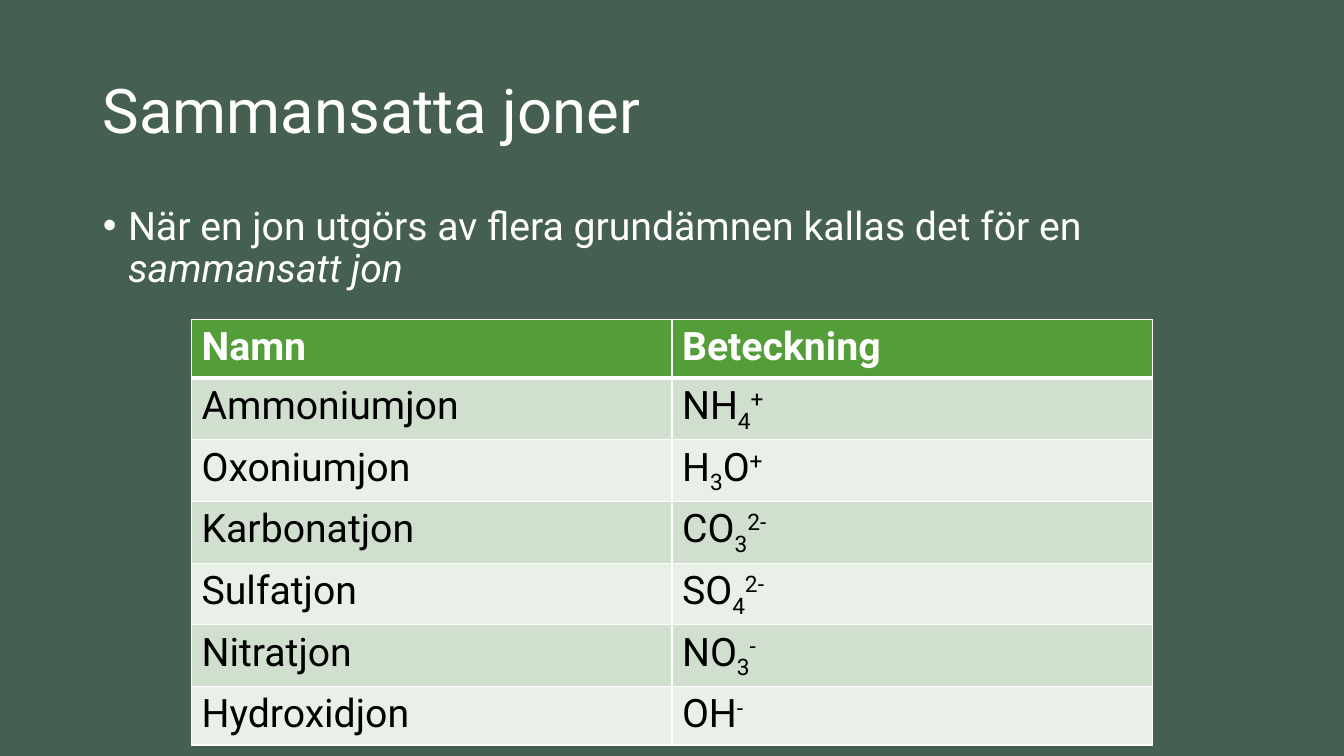
from lxml.etree import SubElement
from pptx import Presentation
from pptx.dml.color import RGBColor
from pptx.enum.text import MSO_ANCHOR, MSO_AUTO_SIZE, PP_ALIGN
from pptx.oxml.ns import qn
from pptx.util import Inches, Pt

COLORS = {
    "background": "455F51",
    "light": "FFFFFF",
    "dark": "000000",
    "header": "549E39",
    "odd_row": "D1DFCE",
    "even_row": "E9F0E8",
}
FONT = "Roboto"
BASELINES = {"sub": "-25000", "super": "30000"}

# Each ion: name, then the pieces of its formula with their position
HEADINGS = ("Namn", "Beteckning")
IONS = [
    ("Ammoniumjon", [("NH", None), ("4", "sub"), ("+", "super")]),
    ("Oxoniumjon", [("H", None), ("3", "sub"), ("O", None), ("+", "super")]),
    ("Karbonatjon", [("CO", None), ("3", "sub"), ("2-", "super")]),
    ("Sulfatjon", [("SO", None), ("4", "sub"), ("2-", "super")]),
    ("Nitratjon", [("NO", None), ("3", "sub"), ("-", "super")]),
    ("Hydroxidjon", [("OH", None), ("-", "super")]),
]


def color(name):
    return RGBColor.from_string(COLORS[name])


def add_run(paragraph, text, size=28, fill="light", bold=False, italic=False, position=None):
    run = paragraph.add_run()
    run.text = text
    run.font.name = FONT
    run.font.size = Pt(size)
    run.font.bold = bold
    run.font.italic = italic
    run.font.color.rgb = color(fill)
    if position:
        run._r.get_or_add_rPr().set("baseline", BASELINES[position])


def place(shape, box, anchor):
    shape.left, shape.top, shape.width, shape.height = (Inches(value) for value in box)
    frame = shape.text_frame
    frame.word_wrap = True
    frame.auto_size = MSO_AUTO_SIZE.NONE
    frame.vertical_anchor = anchor
    paragraph = frame.paragraphs[0]
    paragraph.alignment = PP_ALIGN.LEFT
    paragraph.line_spacing = 0.9
    paragraph.space_before = Pt(0)
    return paragraph


def fill_title(slide, box):
    paragraph = place(slide.shapes.title, box, MSO_ANCHOR.MIDDLE)
    add_run(paragraph, "Sammansatta joner", size=44)


def fill_body(slide, box):
    paragraph = place(slide.placeholders[1], box, MSO_ANCHOR.TOP)
    properties = paragraph._p.get_or_add_pPr()
    properties.set("marL", str(Inches(0.25)))
    properties.set("indent", str(Inches(-0.25)))
    SubElement(properties, qn("a:buFont"), typeface="Arial")
    SubElement(properties, qn("a:buChar"), char="•")
    add_run(paragraph, "När en jon utgörs av flera grundämnen kallas det för en ")
    add_run(paragraph, "sammansatt jon", italic=True)


def add_borders(cell, widths):
    properties = cell._tc.get_or_add_tcPr()
    for side, width in widths.items():
        line = SubElement(properties, qn(f"a:ln{side}"), w=str(Pt(width)))
        solid = SubElement(line, qn("a:solidFill"))
        SubElement(solid, qn("a:srgbClr"), val=COLORS["light"])


def add_ion_table(slide, box):
    left, top, width, height = (Inches(value) for value in box)
    rows = [[[(heading, None)] for heading in HEADINGS]]
    rows += [[[(name, None)], formula] for name, formula in IONS]
    table = slide.shapes.add_table(len(rows), len(HEADINGS), left, top, width, height).table

    for row_index, row in enumerate(rows):
        is_header = row_index == 0
        row_fill = "header" if is_header else "odd_row" if row_index % 2 else "even_row"
        for column_index, pieces in enumerate(row):
            cell = table.cell(row_index, column_index)
            # Borders come before the fill; a thick line separates the header
            add_borders(cell, {"L": 1, "R": 1, "T": 3 if row_index == 1 else 1,
                               "B": 3 if is_header else 1})
            cell.fill.solid()
            cell.fill.fore_color.rgb = color(row_fill)
            for text, position in pieces:
                add_run(cell.text_frame.paragraphs[0], text, bold=is_header,
                        fill="light" if is_header else "dark", position=position)


def main():
    presentation = Presentation()
    presentation.slide_width = Inches(13.33)
    presentation.slide_height = Inches(7.5)
    slide = presentation.slides.add_slide(presentation.slide_layouts[1])
    slide.background.fill.solid()
    slide.background.fill.fore_color.rgb = color("background")

    fill_title(slide, (0.92, 0.4, 11.5, 1.45))
    fill_body(slide, (0.92, 2, 11.5, 4.76))
    add_ion_table(slide, (1.9, 3.17, 9.53, 4.06))
    presentation.save("out.pptx")


if __name__ == "__main__":
    main()
